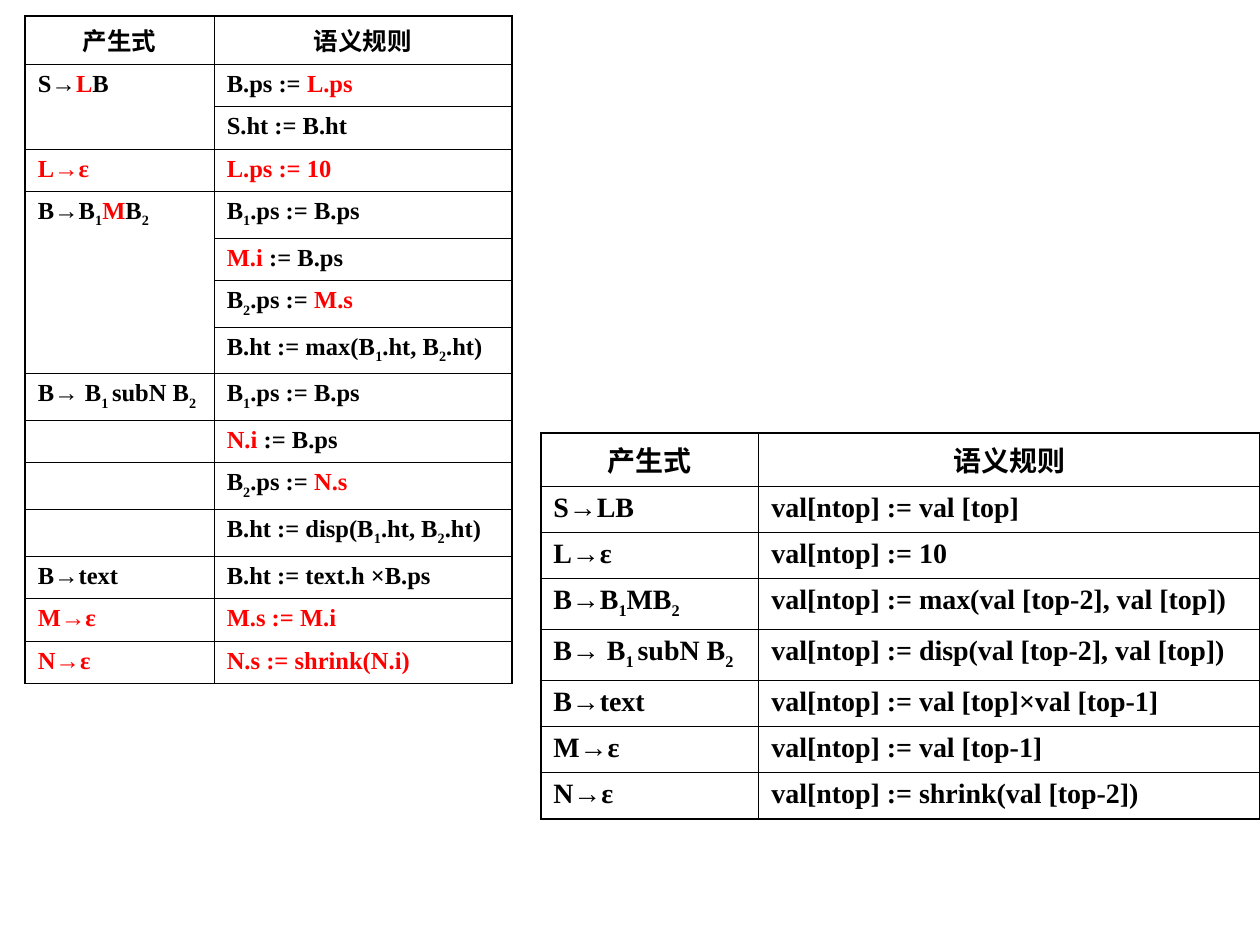
from pptx import Presentation
from pptx.dml.color import RGBColor as RGB
from pptx.enum.text import PP_ALIGN as Align
from pptx.oxml import parse_xml
from pptx.oxml.ns import nsdecls
from pptx.util import Pt

COLORS = {"ink": "000000", "red": "FF0000"}
FONT = {"name": "Times New Roman", "bold": True}
THICK, THIN = 1.08, 0.45
HEAD = ("产生式", "语义规则")

# "~" switches red on and off, "_" switches subscript on and off.
# None joins a cell to the one above; "" leaves it empty.
RULES = [
    HEAD,
    ("S→~L~B", "B.ps := ~L.ps"),
    (None, "S.ht := B.ht"),
    ("~L→ε", "~L.ps := 10"),
    ("B→B_1_~M~B_2", "B_1_.ps := B.ps"),
    (None, "~M.i ~:= B.ps"),
    (None, "B_2_.ps := ~M.s"),
    (None, "B.ht := max(B_1_.ht, B_2_.ht)"),
    ("B→ B_1 _subN B_2", "B_1_.ps := B.ps"),
    ("", "~N.i ~:= B.ps"),
    ("", "B_2_.ps := ~N.s"),
    ("", "B.ht := disp(B_1_.ht, B_2_.ht)"),
    ("B→text", "B.ht := text.h ×B.ps"),
    ("~M→ε", "~M.s := M.i"),
    ("~N→ε", "~N.s := shrink(N.i)"),
]
STACK = [
    HEAD,
    ("S→LB", "val[ntop] := val [top]"),
    ("L→ε", "val[ntop] := 10"),
    ("B→B_1_MB_2", "val[ntop] := max(val [top-2], val [top])"),
    ("B→ B_1 _subN B_2", "val[ntop] := disp(val [top-2], val [top])"),
    ("B→text", "val[ntop] := val [top]×val [top-1]"),
    ("M→ε", "val[ntop] := val [top-1]"),
    ("N→ε", "val[ntop] := shrink(val [top-2])"),
]


def add_run(para, text, size, red, sub):
    run = para.add_run()
    run.text = text
    for key, value in {**FONT, "size": Pt(size)}.items():
        setattr(run.font, key, value)
    run.font.color.rgb = RGB.from_string(COLORS["red" if red else "ink"])
    if sub:
        run._r.get_or_add_rPr().set("baseline", "-25000")


def write(cell, text, size):
    """Split marked text into runs and put them in the cell."""
    para = cell.text_frame.paragraphs[0]
    # An empty cell would otherwise take the default size and stretch its row.
    para._p.get_or_add_endParaRPr().set("sz", str(size * 100))
    red = False
    for i, tint in enumerate((text or "").split("~")):
        red = i % 2 == 1
        for j, part in enumerate(tint.split("_")):
            if part:
                add_run(para, part, size, red, j % 2 == 1)
    if text in HEAD:
        para.alignment = Align.CENTER


def rule(cell, widths):
    """Draw the left, right, top and bottom borders."""
    props = cell._tc.get_or_add_tcPr()
    for side, width in zip("LRTB", widths):
        props.append(parse_xml(
            f'<a:ln{side} {nsdecls("a")} w="{Pt(width)}"><a:solidFill>'
            f'<a:srgbClr val="{COLORS["ink"]}"/></a:solidFill></a:ln{side}>'))
    cell.fill.background()


def add_grid(slide, left, top, cols, rows, size, plain, tall):
    """Add a table whose rows with subscripts are taller."""
    highs = [tall if "_" in "".join(filter(None, row)) else plain
             for row in rows]
    grid = slide.shapes.add_table(
        len(rows), len(cols), Pt(left), Pt(top),
        Pt(sum(cols)), Pt(sum(highs))).table
    grid.first_row = grid.horz_banding = False
    for col, width in zip(grid.columns, cols):
        col.width = Pt(width)
    last, end = len(rows) - 1, len(cols) - 1
    for r, row in enumerate(rows):
        grid.rows[r].height = Pt(highs[r])
        for c, text in enumerate(row):
            cell = grid.cell(r, c)
            write(cell, text, size)
            edges = (c == 0, c == end, r == 0, r == last)
            rule(cell, [THICK if edge else THIN for edge in edges])
    return grid


def join(grid, rows):
    """Merge each first-column cell with the None cells below it."""
    start = 0
    for r, row in enumerate(rows):
        if row[0] is not None:
            start = r
        elif r + 1 == len(rows) or rows[r + 1][0] is not None:
            grid.cell(start, 0).merge(grid.cell(r, 0))


def main():
    deck = Presentation()
    deck.slide_width, deck.slide_height = Pt(720), Pt(540)
    slide = deck.slides.add_slide(deck.slide_layouts[6])
    rules = add_grid(slide, 14.4, 9, (108, 170), RULES, 14, 24.3, 26.6)
    join(rules, RULES)
    add_grid(slide, 309, 247.5, (124.6, 286.4), STACK, 16, 26.4, 29.1)
    deck.save("out.pptx")


if __name__ == "__main__":
    main()
